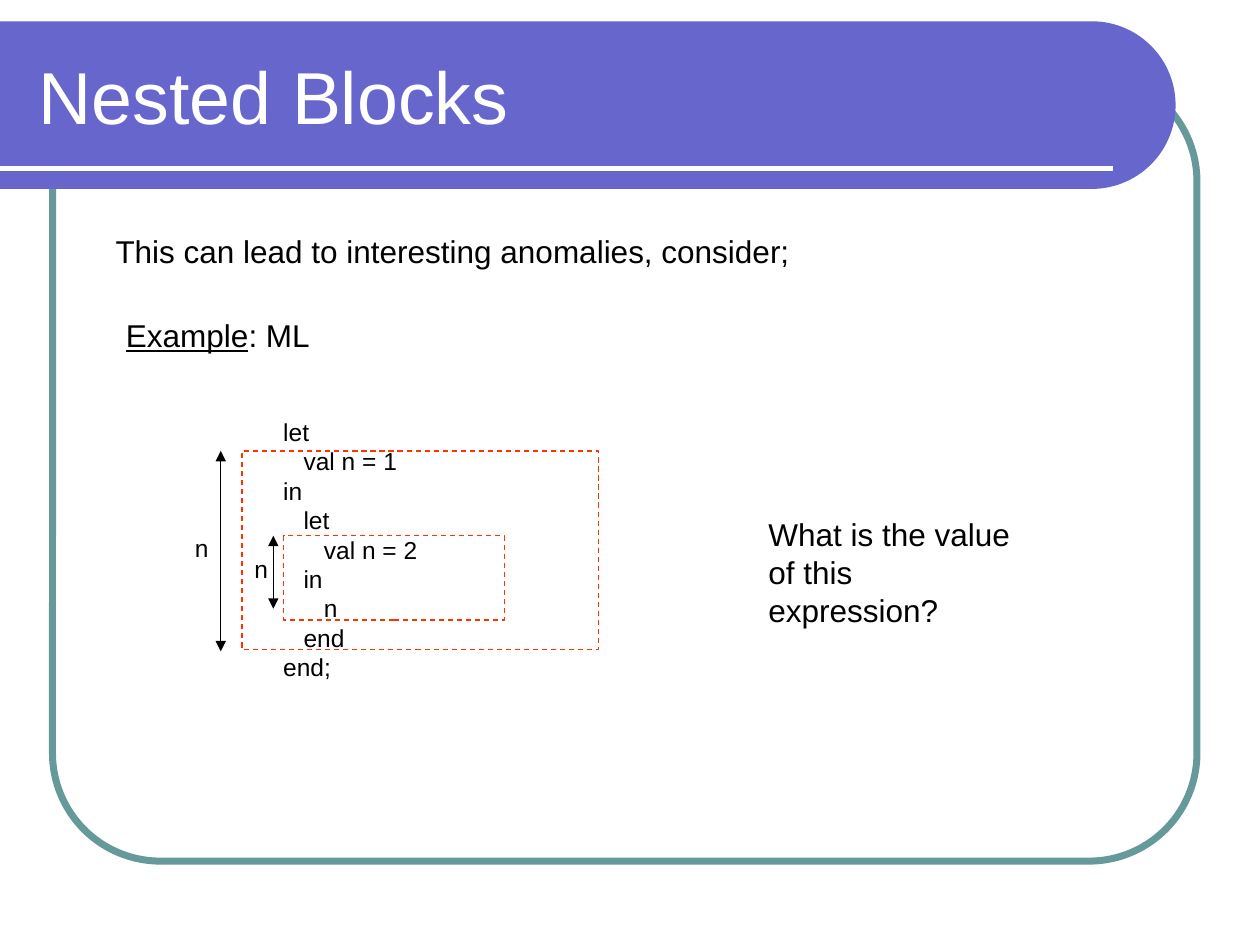
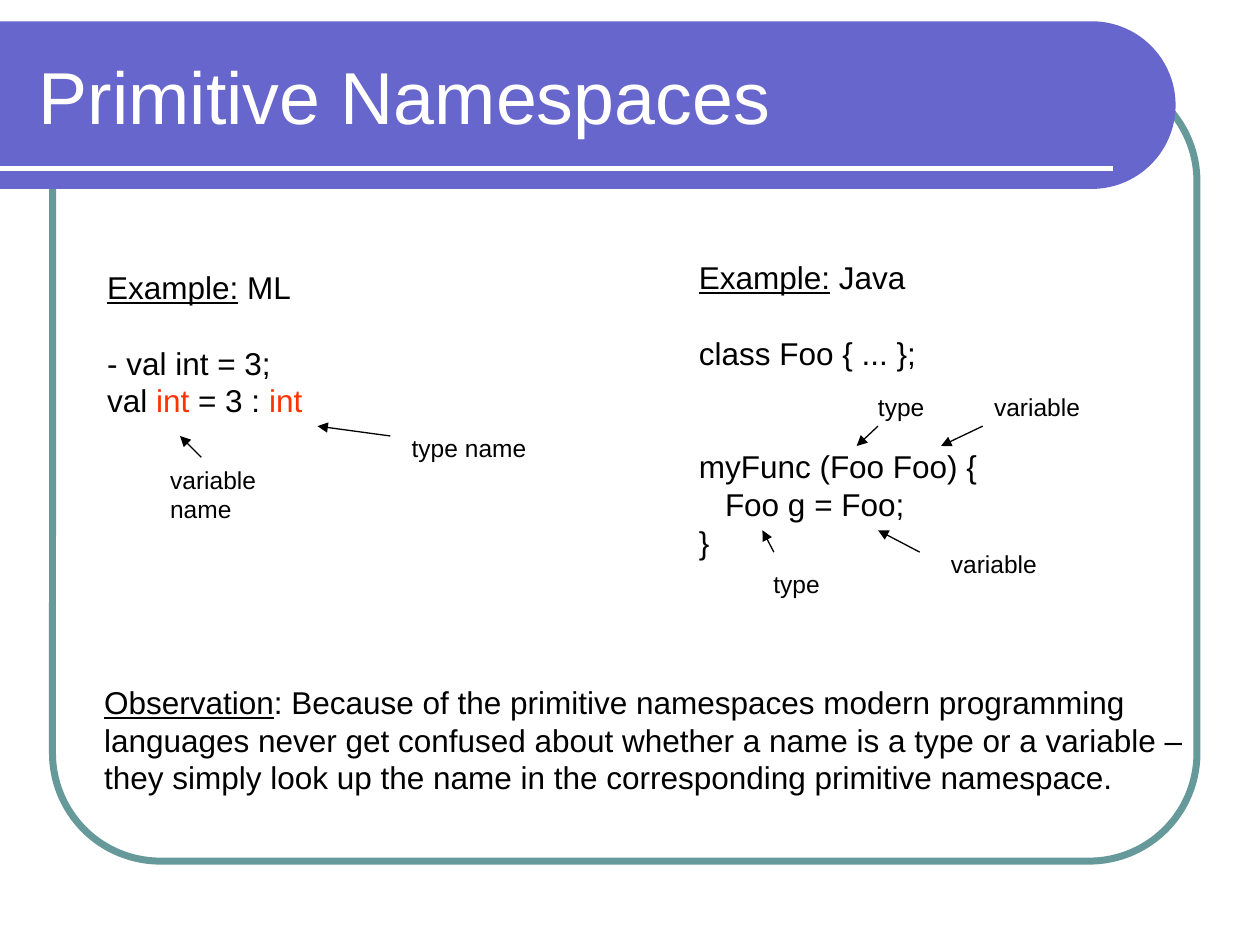
import dataclasses
import math

import lxml.etree
import pptx
import pptx.dml.color
import pptx.enum.dml
import pptx.enum.shapes
import pptx.enum.text
import pptx.oxml.ns
import pptx.util

Cm = pptx.util.Cm
Pt = pptx.util.Pt
qn = pptx.oxml.ns.qn

COLOURS = {
    "band": "6666CC",
    "frame": "669999",
    "paper": "FFFFFF",
    "ink": "000000",
    "accent": "FF3300",
}
FONT = "Arial"
BODY, LABEL, TITLE = 18, 14, 42
LINE_HEIGHT = 1.2
INDENT_PER_POINT = 0.83
LABEL_HEIGHT = 0.86


@dataclasses.dataclass
class Line:
    spans: list
    level: int = 0
    blank_lines: int = 0


def colour(name):
    return pptx.dml.color.RGBColor.from_string(COLOURS[name])


def apply(target, **formats):
    for name, value in formats.items():
        setattr(target, name, value)


def place(shape, left, top, width, height):
    apply(shape, left=Cm(left), top=Cm(top), width=Cm(width), height=Cm(height))


def add_span(para, text, size, ink="ink", underline=False):
    span = para.add_run()
    span.text = text
    apply(span.font, name=FONT, size=Pt(size), underline=underline)
    span.font.color.rgb = colour(ink)


def add_text(page, bounds, lines, size=BODY):
    box = page.shapes.add_textbox(*map(Cm, bounds))
    frame = box.text_frame
    apply(frame, word_wrap=False,
          auto_size=pptx.enum.text.MSO_AUTO_SIZE.SHAPE_TO_FIT_TEXT)
    pitch = size * LINE_HEIGHT
    for number, line in enumerate(lines):
        para = frame.add_paragraph() if number else frame.paragraphs[0]
        apply(para, line_spacing=Pt(pitch), space_before=Pt(pitch * line.blank_lines))
        if line.level:
            indent = Pt(size * INDENT_PER_POINT * line.level)
            para._p.get_or_add_pPr().set("marL", str(indent))
        for text, style in line.spans:
            add_span(para, text, size, **style)


def plain(text, **layout):
    return Line([(text, {})], **layout)


def headed(heading, rest):
    return Line([(heading, {"underline": True}), (rest, {})])


def add_label(page, text, left, top, width):
    add_text(page, (left, top, width, LABEL_HEIGHT), [plain(text)], LABEL)


def add_line(page, start, end, ink="ink", width=0.75, arrowheads=()):
    line = page.shapes.add_connector(
        pptx.enum.shapes.MSO_CONNECTOR.STRAIGHT, *map(Cm, (*start, *end)))
    line.line.color.rgb = colour(ink)
    line.line.width = Pt(width)
    properties = line.element.spPr
    outline = properties.find(qn("a:ln"))
    for arrowhead in arrowheads:
        lxml.etree.SubElement(outline, qn("a:" + arrowhead), type="triangle")
    lxml.etree.SubElement(properties, qn("a:effectLst"))
    return line


def add_pointer(page, start, end):
    add_line(page, start, end, arrowheads=["tailEnd"])


def add_scope(page, bounds, arrow_left, arrow_bottom, label_left, label_top):
    scope = page.shapes.add_shape(
        pptx.enum.shapes.MSO_SHAPE.RECTANGLE, *map(Cm, bounds))
    scope.shadow.inherit = False
    scope.fill.background()
    scope.line.color.rgb = colour("accent")
    apply(scope.line, width=Pt(0.75), dash_style=pptx.enum.dml.MSO_LINE.DASH)
    add_line(page, (arrow_left, bounds[1]), (arrow_left, arrow_bottom),
             arrowheads=["headEnd", "tailEnd"])
    add_label(page, "n", label_left, label_top, 0.79)


def add_frame(page):
    frame = page.shapes.add_shape(
        pptx.enum.shapes.MSO_SHAPE.ROUNDED_RECTANGLE,
        *map(Cm, (1.06, 1.48, 23.07, 15.88)))
    frame.adjustments[0] = 0.137
    frame.shadow.inherit = False
    frame.fill.background()
    frame.line.color.rgb = colour("frame")
    frame.line.width = Pt(4)
    return frame


def add_band(page):
    centre_x, centre_y, radius = 22.01, 2.12, 1.69
    angles = [math.radians(degrees) for degrees in range(-90, 91, 3)]
    edge = [(Cm(centre_x + radius * math.cos(angle)),
             Cm(centre_y + radius * math.sin(angle))) for angle in angles]
    builder = page.shapes.build_freeform(0, Cm(centre_y - radius))
    builder.add_line_segments(edge + [(0, Cm(centre_y + radius))], close=True)
    band = builder.convert_to_shape()
    band.shadow.inherit = False
    band.fill.solid()
    band.fill.fore_color.rgb = colour("band")
    band.line.fill.background()
    return band


def decorate_layout(layout, page):
    for holder in list(layout.placeholders):
        if holder.placeholder_format.type != pptx.enum.shapes.PP_PLACEHOLDER.TITLE:
            layout.shapes.element.remove(holder.element)
    rule_top = 3.39
    decorations = [
        add_frame(page),
        add_band(page),
        add_line(page, (0, rule_top), (22.44, rule_top), "paper", 3),
    ]
    for position, shape in enumerate(decorations, start=2):
        layout.shapes.element.insert(position, shape.element)


def add_page(deck, layout, title):
    page = deck.slides.add_slide(layout)
    holder = page.shapes.title
    place(holder, 0.53, 0.64, 22.28, 2.54)
    apply(holder.text_frame, vertical_anchor=pptx.enum.text.MSO_ANCHOR.MIDDLE,
          auto_size=pptx.enum.text.MSO_AUTO_SIZE.NONE)
    para = holder.text_frame.paragraphs[0]
    para.alignment = pptx.enum.text.PP_ALIGN.LEFT
    add_span(para, title, TITLE, "paper")
    return page


def fill_nested_blocks(page):
    add_text(page, (2.08, 4.55, 14.1, 1.02),
             [plain("This can lead to interesting anomalies, consider;")])
    add_text(page, (2.29, 6.25, 4.22, 1.02), [headed("Example", ": ML")])
    code = [("let", 0), ("val n = 1", 1), ("in", 0), ("let", 1), ("val n = 2", 2),
            ("in", 1), ("n", 2), ("end", 1), ("end;", 0)]
    add_text(page, (5.46, 8.28, 3.23, 5.59),
             [plain(text, level=level) for text, level in code], LABEL)
    add_scope(page, (5.72, 10.8, 4.45, 1.7), 5.51, 12.27, 4.88, 11.05)
    add_scope(page, (4.88, 9.09, 7.19, 4.01), 4.45, 13.13, 3.68, 10.62)
    add_text(page, (15.24, 10.26, 5.79, 1.78),
             [plain("What is the value"), plain("of this expression?")])


def fill_primitive_namespaces(page):
    accent = {"ink": "accent"}
    add_text(page, (1.91, 5.28, 4.45, 3.3), [
        headed("Example:", " ML"),
        plain("- val int = 3;", blank_lines=1),
        Line([("val ", {}), ("int", accent), (" = 3 : ", {}), ("int", accent)]),
    ])
    add_text(page, (13.84, 5.08, 6.12, 7.11), [
        headed("Example:", " Java"),
        plain("class Foo { ... };", blank_lines=1),
        plain("myFunc (Foo Foo) {", blank_lines=2),
        plain("Foo g = Foo;", level=1),
        plain("}"),
    ])
    annotations = [
        ("variable name", 3.18, 9.25, 3.61, (4.06, 9.22), (3.63, 8.79)),
        ("type name", 8.05, 8.61, 2.82, (7.87, 8.79), (6.4, 8.59)),
        ("type", 17.45, 7.77, 1.45, (17.7, 8.59), (17.27, 8.99)),
        ("variable", 19.79, 7.77, 2.24, (19.81, 8.59), (18.97, 8.99)),
        ("type", 15.34, 11.35, 1.45, (15.6, 11.13), (15.37, 10.69)),
        ("variable", 18.92, 10.95, 2.24, (18.54, 11.13), (17.7, 10.69)),
    ]
    for text, left, top, width, start, end in annotations:
        add_label(page, text, left, top, width)
        add_pointer(page, start, end)
    add_text(page, (1.85, 13.64, 22.25, 2.54), [
        headed("Observation", ": Because of the primitive namespaces modern programming"),
        plain("languages never get confused about whether a name is a type or a variable –"),
        plain("they simply look up the name in the corresponding primitive namespace."),
    ])


def main():
    deck = pptx.Presentation()
    apply(deck, slide_width=Cm(25.4), slide_height=Cm(19.05))
    layout = deck.slide_layouts.get_by_name("Title Only")
    nested_blocks = add_page(deck, layout, "Nested Blocks")
    decorate_layout(layout, nested_blocks)
    fill_nested_blocks(nested_blocks)
    fill_primitive_namespaces(add_page(deck, layout, "Primitive Namespaces"))
    deck.save("out.pptx")


if __name__ == "__main__":
    main()
